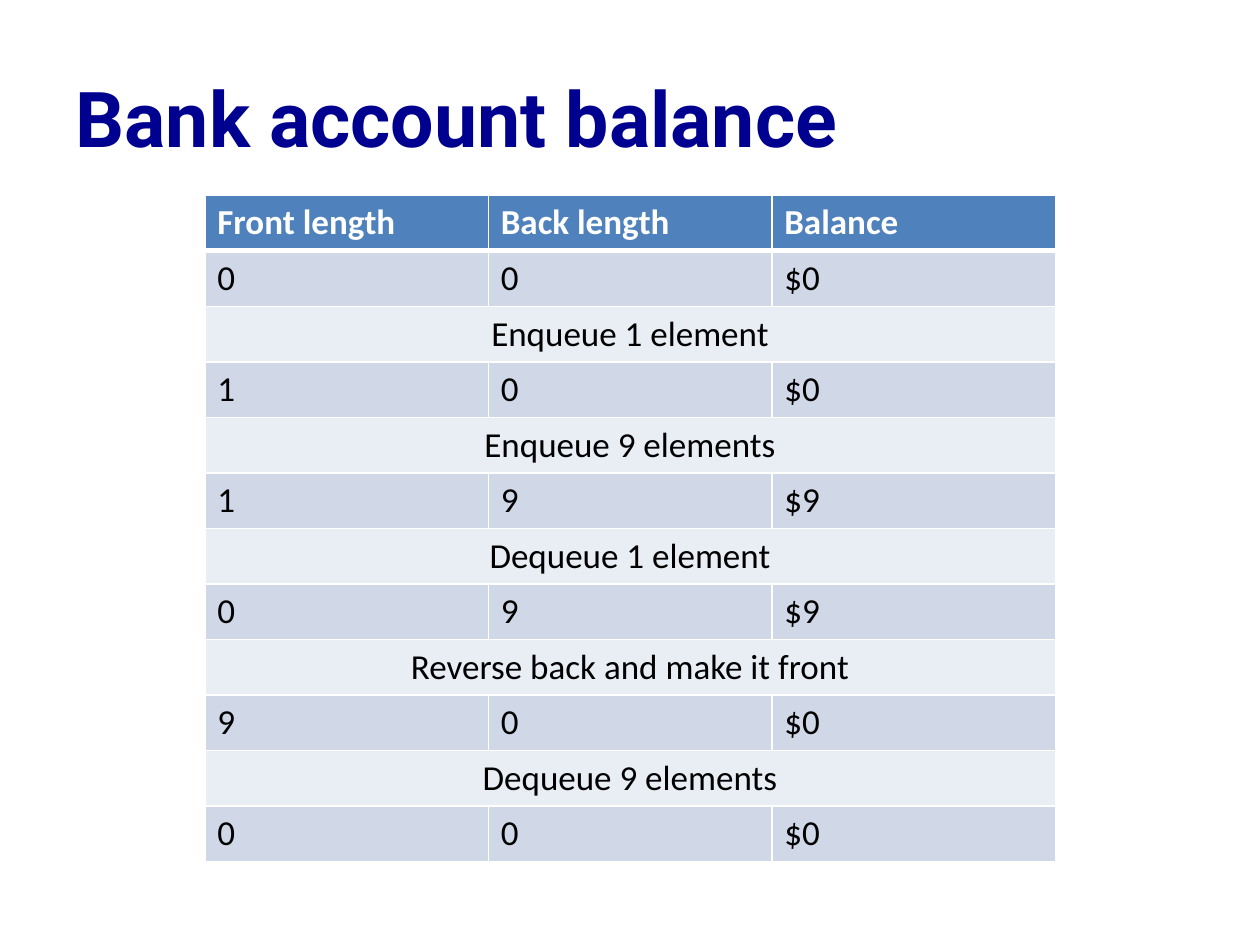
import dataclasses

import lxml.etree
import pptx
import pptx.dml.color
import pptx.enum.text
import pptx.oxml.ns
import pptx.util

Pt = pptx.util.Pt
ALIGN = pptx.enum.text.PP_ALIGN


@dataclasses.dataclass(frozen=True)
class Theme:
    title_font: str = "Roboto"
    body_font: str = "Calibri"
    title_size: float = 44
    body_size: float = 20
    title_color: str = "000090"
    text_color: str = "000000"
    white: str = "FFFFFF"
    header_fill: str = "4F81BD"
    state_fill: str = "D0D8E8"
    operation_fill: str = "E9EDF4"
    thin_line: float = 1
    thick_line: float = 3


def rgb(color):
    return pptx.dml.color.RGBColor.from_string(color)


def write_text(frame, text, *, font, size, color, bold=False, align=ALIGN.LEFT):
    paragraph = frame.paragraphs[0]
    paragraph.alignment = align
    run = paragraph.add_run()
    run.text = text
    run.font.name = font
    run.font.size = Pt(size)
    run.font.bold = bold
    run.font.color.rgb = rgb(color)


def set_borders(cell, color, widths):
    """Draw the left, right, top and bottom cell lines, in that order."""
    properties = cell._tc.get_or_add_tcPr()
    for position, (side, width) in enumerate(zip("LRTB", widths)):
        line = lxml.etree.Element(pptx.oxml.ns.qn(f"a:ln{side}"), w=str(Pt(width)))
        fill = lxml.etree.SubElement(line, pptx.oxml.ns.qn("a:solidFill"))
        lxml.etree.SubElement(fill, pptx.oxml.ns.qn("a:srgbClr"), val=color)
        properties.insert(position, line)


class SlideBuilder:
    def __init__(self, presentation, theme):
        self.theme = theme
        self.slide = presentation.slides.add_slide(presentation.slide_layouts[5])

    def title(self, text, left, top, width, height):
        shape = self.slide.shapes.title
        shape.left, shape.top = Pt(left), Pt(top)
        shape.width, shape.height = Pt(width), Pt(height)
        shape.text_frame.vertical_anchor = pptx.enum.text.MSO_ANCHOR.MIDDLE
        write_text(shape.text_frame, text, font=self.theme.title_font,
                   size=self.theme.title_size, color=self.theme.title_color, bold=True)

    def cell(self, cell, text, fill, row_index, **text_format):
        theme = self.theme
        cell.fill.solid()
        cell.fill.fore_color.rgb = rgb(fill)
        # The line under the header is shared by the first two rows
        top = theme.thick_line if row_index == 1 else theme.thin_line
        bottom = theme.thick_line if row_index == 0 else theme.thin_line
        set_borders(cell, theme.white, (theme.thin_line, theme.thin_line, top, bottom))
        write_text(cell.text_frame, text, font=theme.body_font,
                   size=theme.body_size, **text_format)

    def table(self, rows, left, top, column_width, row_height):
        """A row with a single text spans all columns."""
        theme = self.theme
        column_count = len(rows[0])
        table = self.slide.shapes.add_table(
            len(rows), column_count, Pt(left), Pt(top),
            Pt(column_width * column_count), Pt(row_height * len(rows))).table
        for column in table.columns:
            column.width = Pt(column_width)
        for row_index, texts in enumerate(rows):
            table.rows[row_index].height = Pt(row_height)
            fill, text_format = theme.state_fill, {"color": theme.text_color}
            if row_index == 0:
                fill, text_format = theme.header_fill, {"color": theme.white, "bold": True}
            elif len(texts) == 1:
                fill = theme.operation_fill
                text_format["align"] = ALIGN.CENTER
                table.cell(row_index, 0).merge(table.cell(row_index, column_count - 1))
            for column_index, text in enumerate(texts):
                self.cell(table.cell(row_index, column_index), text, fill,
                          row_index, **text_format)


def main():
    presentation = pptx.Presentation()
    presentation.slide_width, presentation.slide_height = Pt(720), Pt(540)
    builder = SlideBuilder(presentation, Theme())

    # Title
    builder.title("Bank account balance", 36, 21.6, 648, 90)

    # Queue states, with the operation between each pair
    builder.table([
        ("Front length", "Back length", "Balance"),
        ("0", "0", "$0"),
        ("Enqueue 1 element",),
        ("1", "0", "$0"),
        ("Enqueue 9 elements",),
        ("1", "9", "$9"),
        ("Dequeue 1 element",),
        ("0", "9", "$9"),
        ("Reverse back and make it front",),
        ("9", "0", "$0"),
        ("Dequeue 9 elements",),
        ("0", "0", "$0"),
    ], left=117, top=111.6, column_width=162, row_height=31.7)

    presentation.save("out.pptx")


if __name__ == "__main__":
    main()
